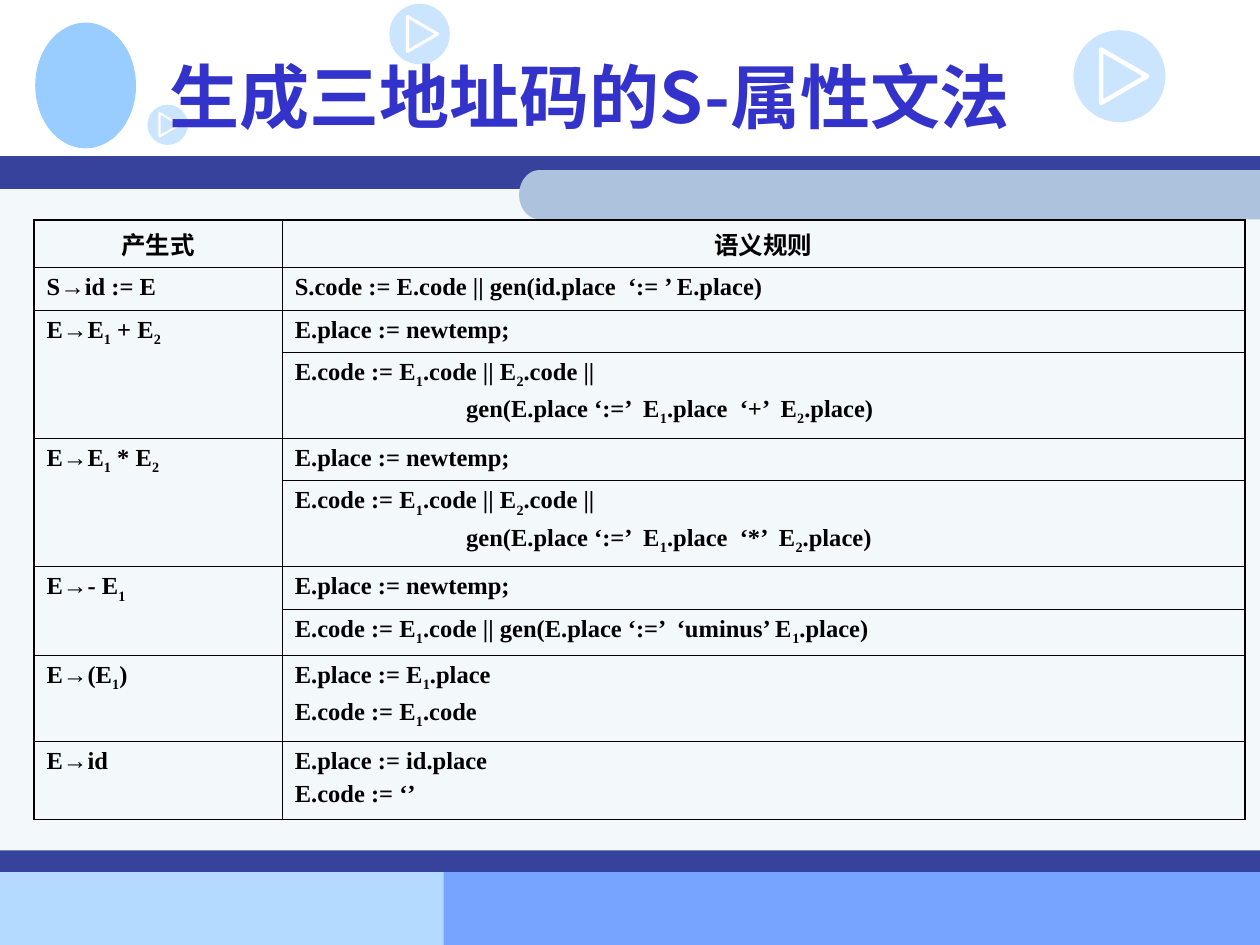
from math import cos, pi, sin

from lxml.etree import SubElement
from pptx import Presentation
from pptx.dml.color import RGBColor
from pptx.enum.shapes import MSO_SHAPE as Shape
from pptx.enum.text import MSO_ANCHOR as Anchor, PP_ALIGN as Align
from pptx.oxml.ns import qn
from pptx.util import Inches, Pt

WIDE, HIGH = Inches(10), Inches(7.5)
WHITE = RGBColor(0xFF, 0xFF, 0xFF)
BLACK = RGBColor(0, 0, 0)
NAVY = RGBColor(0x36, 0x42, 0x9B)
INK = RGBColor(0x33, 0x33, 0xCC)
SKY = RGBColor(0x99, 0xCC, 0xFF)
ICE = RGBColor(0xB5, 0xDA, 0xFF)
BLUE = RGBColor(0x77, 0xA4, 0xFF)
PALE = RGBColor(0xF3, 0xF8, 0xFB)
STEEL = RGBColor(0xAD, 0xC3, 0xDD)
SANS, SERIF = "Noto Sans CJK SC", "Times New Roman"
THICK, THIN = 1.08, 0.45
INDENT = Inches(1.36)

# Left, top, width and height in percent of the slide
BANDS = [
    (ICE, (0, 92.27, 42.5, 7.73)),
    (BLUE, (35.2, 92.13, 64.8, 7.87)),
    (PALE, (0, 18.67, 100, 73.46)),
    (NAVY, (0, 16.53, 100, 3.47)),
    (NAVY, (0, 90, 100, 2.27)),
]
# Left, top and size, the size in percent of the slide's width
ICONS = [(30.9, 0.4, 4.8), (85.2, 3.2, 7.3), (11.7, 11.07, 3.2)]

COLS = (19.7, 76.4)
ROWS = (5.08, 4.47, 4.53, 9.1, 4.47, 9.1, 4.47, 4.93, 9, 8.27)
NEW = ["E.place := newtemp;"]


def binary(sign):
    return ["E.code := E_1.code || E_2.code ||",
            f"\tgen(E.place ‘:=’  E_1.place  ‘{sign}’  E_2.place)"]


# Each production with the rows of rules it spans; "_" lowers the next letter
RULES = [
    ("S→id := E", [["S.code := E.code || gen(id.place  ‘:= ’ E.place)"]]),
    ("E→E_1 + E_2", [NEW, binary("+")]),
    ("E→E_1 * E_2", [NEW, binary("*")]),
    ("E→- E_1", [NEW, ["E.code := E_1.code || gen(E.place ‘:=’  ‘uminus’ E_1.place)"]]),
    ("E→(E_1)", [["E.place := E_1.place", "E.code := E_1.code"]]),
    ("E→id", [["E.place := id.place", "E.code := ‘’"]]),
]


def px(share):
    return int(WIDE * share / 100)


def py(share):
    return int(HIGH * share / 100)


def paint(shape, color):
    shape.shadow.inherit = False
    shape.fill.solid()
    shape.fill.fore_color.rgb = color
    shape.line.fill.background()
    return shape


def block(slide, kind, color, x, y, w, h):
    return paint(slide.shapes.add_shape(kind, px(x), py(y), px(w), py(h)), color)


def outline(slide, dots):
    first, *rest = dots
    pen = slide.shapes.build_freeform(*first)
    pen.add_line_segments(rest, close=True)
    return pen.convert_to_shape()


def tab(slide):
    """Bar with a round left end that runs to the slide's right edge."""
    x, y, w, h = px(41.2), py(18), px(1.6), py(5.2)
    turns = [pi * (0.5 + i / 24) for i in range(25)]
    curve = [(int(x + w + w * cos(t)), int(y + h / 2 - h / 2 * sin(t))) for t in turns]
    paint(outline(slide, [(WIDE, y), *curve, (WIDE, y + h)]), STEEL)


def icon(slide, x, y, size):
    """Half-clear disc with a play triangle."""
    x, y, size = px(x), py(y), px(size)
    disc = paint(slide.shapes.add_shape(Shape.OVAL, x, y, size, size), SKY)
    tint = disc.fill._xPr.find(".//" + qn("a:srgbClr"))
    SubElement(tint, qn("a:alpha"), val="50000")
    dots = [(0.3, 0.21), (0.8, 0.5), (0.3, 0.79)]
    mark = outline(slide, [(int(x + size * a), int(y + size * b)) for a, b in dots])
    mark.shadow.inherit = False
    mark.fill.background()
    mark.line.color.rgb = WHITE
    mark.line.width = int(size * 0.05)


def write(frame, lines, size=14, font=SERIF, color=BLACK, align=Align.LEFT):
    """Fill a frame; a leading tab indents a line, "_" lowers a letter."""
    frame.word_wrap = True
    for i, line in enumerate(lines):
        para = frame.paragraphs[0] if i == 0 else frame.add_paragraph()
        para.alignment = align
        if i:
            para.space_before = Pt(3.5)
        if line.startswith("\t"):
            para._p.get_or_add_pPr().set("marL", str(INDENT))
        head, *tails = line.strip().split("_")
        parts = [(head, False)]
        for tail in tails:
            parts += [(tail[0], True), (tail[1:], False)]
        for text, low in parts:
            if not text:
                continue
            run = para.add_run()
            run.text = text
            run.font.size, run.font.bold = Pt(size), True
            run.font.name, run.font.color.rgb = font, color
            props = run.font._element
            SubElement(props, qn("a:ea"), typeface=font)
            if low:
                props.set("baseline", "-25000")


def border(cell, row, col):
    """Thick lines on the table's rim, thin ones within."""
    rim = {"L": col == 0, "R": col == len(COLS) - 1,
           "T": row == 0, "B": row == len(ROWS) - 1}
    props = cell._tc.get_or_add_tcPr()
    for side, edge in rim.items():
        width = Pt(THICK if edge else THIN)
        line = SubElement(props, qn("a:ln" + side), w=str(width))
        fill = SubElement(line, qn("a:solidFill"))
        SubElement(fill, qn("a:srgbClr"), val=str(BLACK))


def grid(slide):
    table = slide.shapes.add_table(len(ROWS), len(COLS), px(2.7), py(23.25),
                                   px(sum(COLS)), py(sum(ROWS))).table
    table.first_row = table.horz_banding = False
    for i, w in enumerate(COLS):
        table.columns[i].width = px(w)
    for i, h in enumerate(ROWS):
        table.rows[i].height = py(h)
        for j in range(len(COLS)):
            cell = table.cell(i, j)
            border(cell, i, j)
            cell.fill.background()
    for j, text in enumerate(("产生式", "语义规则")):
        write(table.cell(0, j).text_frame, [text], font=SANS, align=Align.CENTER)
    row = 1
    for left, rules in RULES:
        cell = table.cell(row, 0)
        if len(rules) > 1:
            cell.merge(table.cell(row + len(rules) - 1, 0))
        write(cell.text_frame, [left])
        for lines in rules:
            write(table.cell(row, 1).text_frame, lines)
            row += 1


def title(slide, text):
    box = slide.shapes.add_textbox(px(12.5), py(2.27), px(85), py(15.6))
    box.text_frame.vertical_anchor = Anchor.MIDDLE
    write(box.text_frame, [text], size=40, font=SANS, color=INK)


def main():
    deck = Presentation()
    deck.slide_width, deck.slide_height = WIDE, HIGH
    slide = deck.slides.add_slide(deck.slide_layouts[6])
    for color, place in BANDS:
        block(slide, Shape.RECTANGLE, color, *place)
    tab(slide)
    block(slide, Shape.OVAL, SKY, 2.8, 2.4, 8, 13.3)
    for place in ICONS:
        icon(slide, *place)
    title(slide, "生成三地址码的S-属性文法")
    grid(slide)
    deck.save("out.pptx")


if __name__ == "__main__":
    main()
